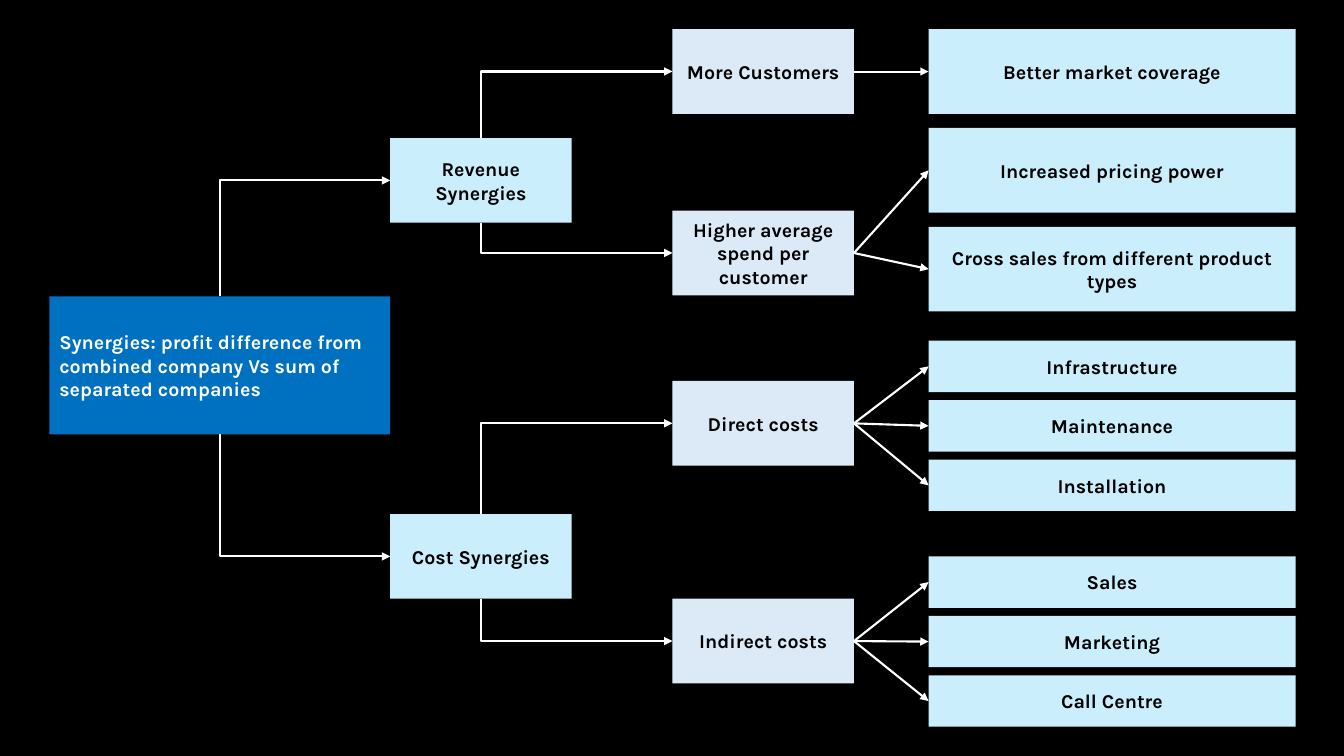
import pptx
import pptx.util
import pptx.dml.color
import pptx.enum.shapes
import pptx.enum.text
import pptx.oxml.ns
from lxml import etree

Inches = pptx.util.Inches
RGBColor = pptx.dml.color.RGBColor
qn = pptx.oxml.ns.qn

BLACK = RGBColor(0x00, 0x00, 0x00)
WHITE = RGBColor(0xFF, 0xFF, 0xFF)
BLUE = RGBColor(0x00, 0x70, 0xC0)
SKY = RGBColor(0xCA, 0xEE, 0xFB)
PALE = RGBColor(0xDC, 0xEA, 0xF7)

TOP, LEFT, BOTTOM, RIGHT = range(4)  # connection sites of a rectangle
BRANCH_X, DRIVER_X, LEAF_X = 3.87, 6.67, 9.21
NODE_W, NODE_H, LEAF_W = 1.8, 0.84, 3.64
TALL, SHORT = (NODE_H, 0.98), (0.51, 0.59)  # leaf height and pitch

# Branch: name, top, drivers. Driver: name, top, first leaf top, leaf size, leaves.
BRANCHES = [
    ("Revenue Synergies", 1.37, [
        ("More Customers", 0.29, 0.29, TALL, ["Better market coverage"]),
        ("Higher average spend per customer", 2.09, 1.27, TALL,
         ["Increased pricing power", "Cross sales from different product types"]),
    ]),
    ("Cost Synergies", 5.1, [
        ("Direct costs", 3.78, 3.38, SHORT,
         ["Infrastructure", "Maintenance", "Installation"]),
        ("Indirect costs", 5.94, 5.52, SHORT,
         ["Sales", "Marketing", "Call Centre"]),
    ]),
]


def add_box(s, text, x, y, w, h, fill, color=BLACK,
            align=pptx.enum.text.PP_ALIGN.CENTER):
    sp = s.shapes.add_shape(pptx.enum.shapes.MSO_SHAPE.RECTANGLE,
                            Inches(x), Inches(y), Inches(w), Inches(h))
    sp.shadow.inherit = False
    sp.fill.solid()
    sp.fill.fore_color.rgb = fill
    sp.line.fill.background()
    tf = sp.text_frame
    tf.word_wrap = True
    tf.vertical_anchor = pptx.enum.text.MSO_ANCHOR.MIDDLE
    p = tf.paragraphs[0]
    p.alignment = align
    r = p.add_run()
    r.text = text
    r.font.name = "Karla"
    r.font.size = pptx.util.Pt(14)
    r.font.bold = True
    r.font.color.rgb = color
    return sp


def add_arrow(s, kind, start, start_site, end):
    """Join a site of start to the left side of end."""
    cxn = s.shapes.add_connector(kind, 0, 0, 0, 0)
    cxn.begin_connect(start, start_site)
    cxn.end_connect(end, LEFT)
    cxn.line.color.rgb = WHITE
    cxn.line.width = pptx.util.Pt(1.5)
    sp_pr = cxn.element.spPr
    etree.SubElement(sp_pr.find(qn("a:ln")), qn("a:tailEnd"), type="triangle")
    etree.SubElement(sp_pr, qn("a:effectLst"))
    return cxn


def add_straight(s, start, end):
    add_arrow(s, pptx.enum.shapes.MSO_CONNECTOR.STRAIGHT, start, RIGHT, end)


def add_elbow(s, start, end):
    """Leave start vertically, turn once and enter end from the left."""
    up = end.top + end.height // 2 < start.top
    cxn = add_arrow(s, pptx.enum.shapes.MSO_CONNECTOR.ELBOW, start,
                    TOP if up else BOTTOM, end)
    # The one-bend preset starts horizontally, so its frame is turned a quarter.
    x, y, w, h = cxn.left, cxn.top, cxn.width, cxn.height
    cxn.left, cxn.top = x + (w - h) // 2, y + (h - w) // 2
    cxn.width, cxn.height = h, w
    sp_pr = cxn.element.spPr
    xfrm = sp_pr.find(qn("a:xfrm"))
    xfrm.set("rot", str((90 if up else 270) * 60000))
    xfrm.set("flipH", "1")
    xfrm.set("flipV", "1" if up else "0")
    sp_pr.find(qn("a:prstGeom")).set("prst", "bentConnector2")


def add_driver(s, branch, name, y, leaf_y, leaf_size, leaves):
    driver = add_box(s, name, DRIVER_X, y, NODE_W, NODE_H, PALE)
    add_elbow(s, branch, driver)
    height, pitch = leaf_size
    for i, text in enumerate(leaves):
        leaf = add_box(s, text, LEAF_X, leaf_y + i * pitch, LEAF_W, height, SKY)
        add_straight(s, driver, leaf)


def main():
    prs = pptx.Presentation()
    prs.slide_width, prs.slide_height = Inches(13.33), Inches(7.5)
    s = prs.slides.add_slide(prs.slide_layouts[6])
    s.background.fill.solid()
    s.background.fill.fore_color.rgb = BLACK

    root = add_box(s, "Synergies: profit difference from combined company "
                   "Vs sum of separated companies", 0.49, 2.94, 3.38, 1.37,
                   BLUE, WHITE, pptx.enum.text.PP_ALIGN.LEFT)
    for name, y, drivers in BRANCHES:
        branch = add_box(s, name, BRANCH_X, y, NODE_W, NODE_H, SKY)
        add_elbow(s, root, branch)
        for driver in drivers:
            add_driver(s, branch, *driver)
    prs.save("out.pptx")


if __name__ == "__main__":
    main()
